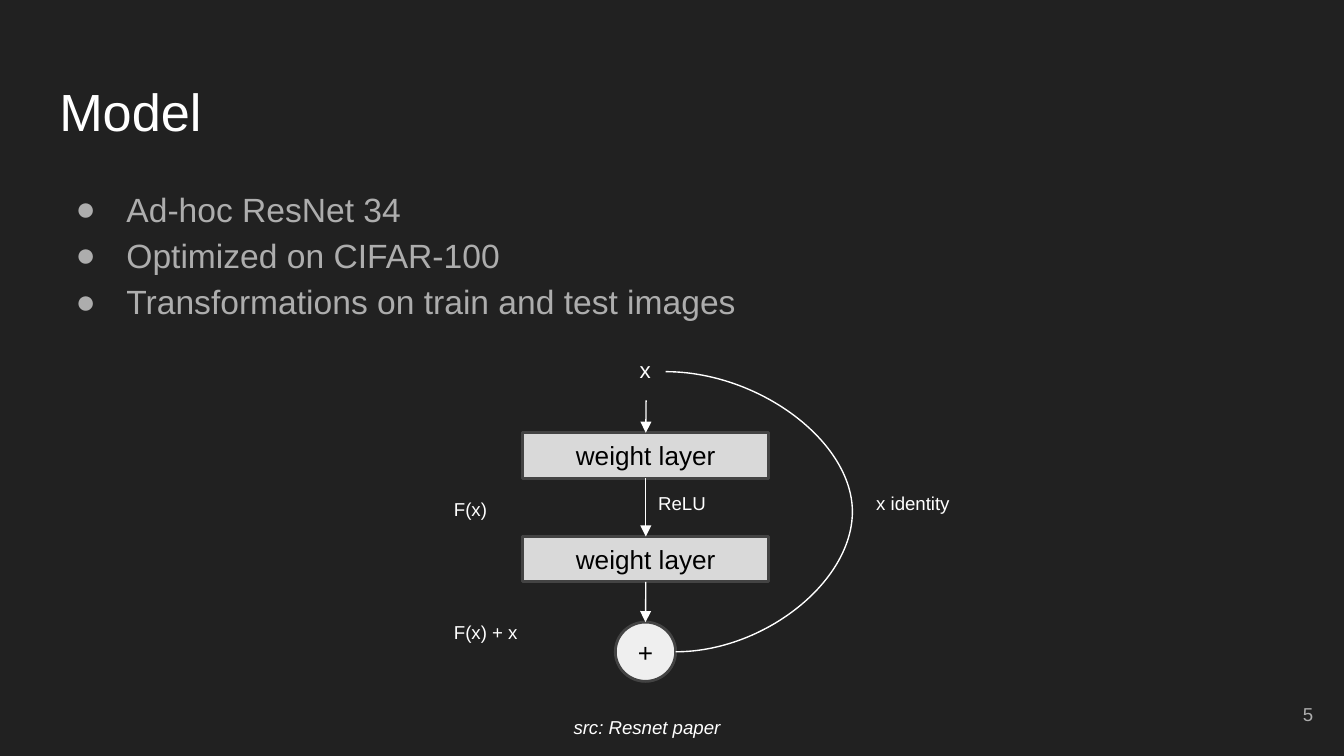
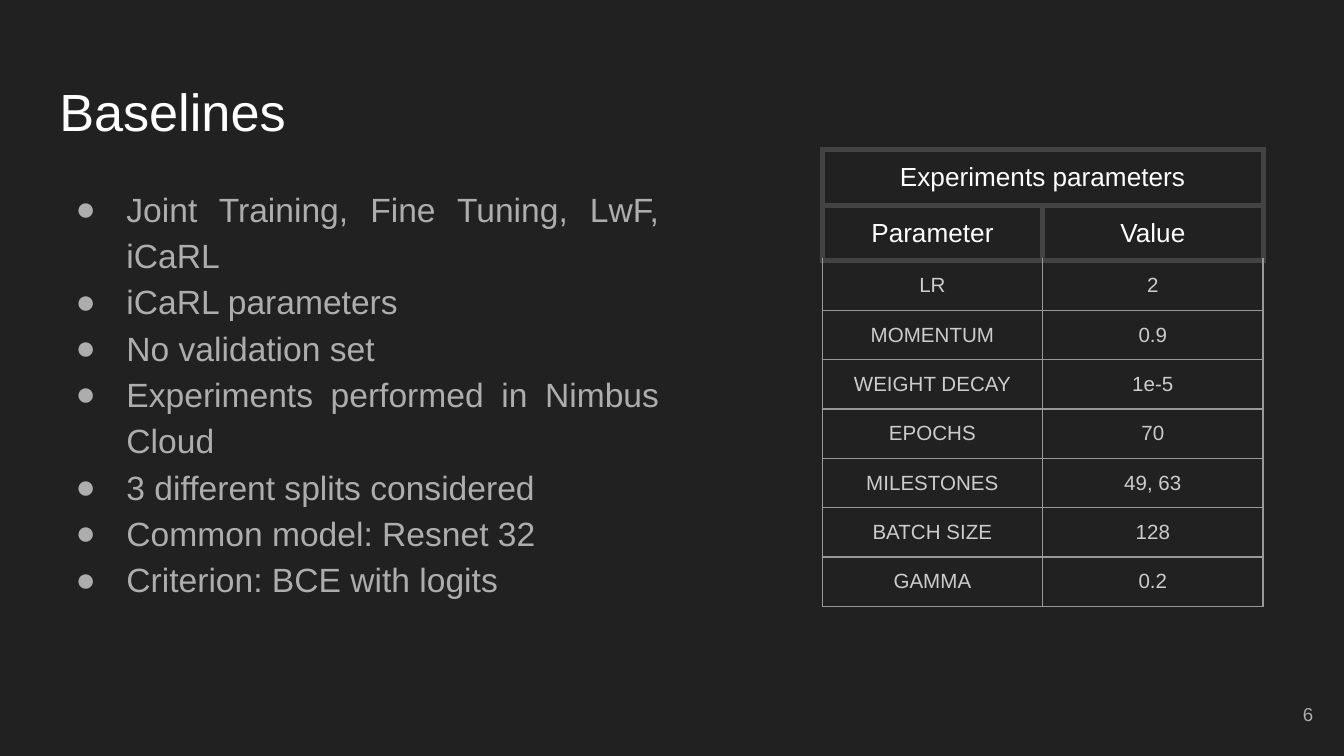
import lxml.etree
import pptx
import pptx.dml.color
import pptx.enum.shapes
import pptx.enum.text
import pptx.oxml.ns
import pptx.util

Cm = pptx.util.Cm
Pt = pptx.util.Pt
RGBColor = pptx.dml.color.RGBColor
ALIGN = pptx.enum.text.PP_ALIGN
ANCHOR = pptx.enum.text.MSO_ANCHOR
SHAPE = pptx.enum.shapes.MSO_SHAPE
CONNECTOR = pptx.enum.shapes.MSO_CONNECTOR
qn = pptx.oxml.ns.qn

FONT = "Arial"
BACKGROUND = RGBColor(0x21, 0x21, 0x21)
WHITE = RGBColor(0xFF, 0xFF, 0xFF)
BLACK = RGBColor(0, 0, 0)
BODY_GREY = RGBColor(0xAD, 0xAD, 0xAD)
CELL_GREY = RGBColor(0xCC, 0xCC, 0xCC)
GRID_GREY = RGBColor(0x99, 0x99, 0x99)
DARK_GREY = RGBColor(0x43, 0x43, 0x43)
LAYER_FILL = RGBColor(0xD9, 0xD9, 0xD9)
SUM_FILL = RGBColor(0xEF, 0xEF, 0xEF)

INSET = Cm(0.25)
NO_TABLE_STYLE = "{2D5ABB26-0587-4C30-8999-92F81FD0307C}"

# Regions: left, top, width, height in cm
TITLE_BOX = (0.87, 1.24, 23.67, 1.6)
BODY_BOX = (0.87, 3.2, 23.16, 9.5)
NARROW_BODY_BOX = (0.87, 3.2, 11.84, 9.5)
NUMBER_BOX = (23.55, 12.95, 1.52, 1.09)
CAPTION_BOX = (10.59, 13.28, 3.71, 0.64)
DIAGRAM_ORIGIN = (8.33, 6.48)
TABLE_BOX = (15.54, 2.82, 8.33, 8.33)

MODEL_POINTS = [
    "Ad-hoc ResNet 34",
    "Optimized on CIFAR-100",
    "Transformations on train and test images",
]
BASELINE_POINTS = [
    "Joint Training, Fine Tuning, LwF, iCaRL",
    "iCaRL parameters",
    "No validation set",
    "Experiments performed in Nimbus Cloud",
    "3 different splits considered",
    "Common model: Resnet 32",
    "Criterion: BCE with logits",
]
PARAMETERS = [
    ("Experiments parameters", ""),
    ("Parameter", "Value"),
    ("LR", "2"),
    ("MOMENTUM", "0.9"),
    ("WEIGHT DECAY", "1e-5"),
    ("EPOCHS", "70"),
    ("MILESTONES", "49, 63"),
    ("BATCH SIZE", "128"),
    ("GAMMA", "0.2"),
]
HEADER_ROWS = 2


# Shared helpers
def add_xml(parent, tag, **attributes):
    element = lxml.etree.SubElement(parent, qn(tag))
    for name, value in attributes.items():
        element.set(name, str(value))
    return element


def place(shape, box):
    shape.left, shape.top, shape.width, shape.height = map(Cm, box)


def style_text(frame, size, color, align=ALIGN.LEFT, italic=False):
    for paragraph in frame.paragraphs:
        paragraph.alignment = align
        for run in paragraph.runs:
            run.font.name = FONT
            run.font.size = Pt(size)
            run.font.color.rgb = color
            run.font.italic = italic


def set_frame(frame, anchor=ANCHOR.TOP):
    frame.word_wrap = True
    frame.auto_size = pptx.enum.text.MSO_AUTO_SIZE.NONE
    frame.vertical_anchor = anchor
    frame.margin_left = frame.margin_right = INSET
    frame.margin_top = frame.margin_bottom = INSET


def add_label(slide, text, box, size=10, color=WHITE, align=ALIGN.LEFT,
              anchor=ANCHOR.TOP, italic=False):
    label = slide.shapes.add_textbox(*map(Cm, box))
    set_frame(label.text_frame, anchor)
    label.text_frame.text = text
    style_text(label.text_frame, size, color, align, italic)
    return label


def add_bullets(body, points, align):
    frame = body.text_frame
    set_frame(frame)
    frame.text = "\n".join(points)
    style_text(frame, 18, BODY_GREY, align)
    for paragraph in frame.paragraphs:
        paragraph.line_spacing = 1.15
        paragraph.space_before = paragraph.space_after = Pt(0)
        properties = paragraph._p.get_or_add_pPr()
        properties.set("marL", str(Cm(1.27)))
        properties.set("indent", str(-Cm(0.96)))
        add_xml(add_xml(properties, "a:buClr"), "a:srgbClr", val=BODY_GREY)
        add_xml(properties, "a:buFont", typeface=FONT)
        add_xml(properties, "a:buChar", char="●")


def add_content_slide(presentation, title, number, points, body_box, align):
    slide = presentation.slides.add_slide(presentation.slide_layouts[1])
    heading, body = slide.shapes.title, slide.placeholders[1]
    place(heading, TITLE_BOX)
    set_frame(heading.text_frame)
    heading.text_frame.text = title
    style_text(heading.text_frame, 28, WHITE)
    place(body, body_box)
    add_bullets(body, points, align)
    add_label(slide, str(number), NUMBER_BOX, color=BODY_GREY,
              align=ALIGN.RIGHT, anchor=ANCHOR.MIDDLE)
    return slide


# Residual block diagram
def add_node(slide, kind, text, box, fill):
    node = slide.shapes.add_shape(kind, *map(Cm, box))
    node.shadow.inherit = False
    node.fill.solid()
    node.fill.fore_color.rgb = fill
    node.line.color.rgb = DARK_GREY
    node.line.width = Pt(1.5)
    set_frame(node.text_frame, ANCHOR.MIDDLE)
    node.text_frame.text = text
    style_text(node.text_frame, 14, BLACK, ALIGN.CENTER)
    return node


def join(slide, kind, start, start_site, end, end_site):
    connector = slide.shapes.add_connector(kind, 0, 0, 0, 0)
    connector.begin_connect(start, start_site)
    connector.end_connect(end, end_site)
    connector.line.color.rgb = WHITE
    connector.line.width = Pt(0.75)
    add_xml(connector._element.spPr, "a:effectLst")
    return connector


def add_arrow(slide, start, end):
    arrow = join(slide, CONNECTOR.STRAIGHT, start, 2, end, 0)
    add_xml(arrow.line._get_or_add_ln(), "a:tailEnd", type="triangle")
    return arrow


def add_skip_curve(slide, start, end, reach):
    curve = join(slide, CONNECTOR.CURVE, start, 3, end, 3)
    guides = curve._element.spPr.find(qn("a:prstGeom")).find(qn("a:avLst"))
    bend = round(reach / curve.width * 100000)
    add_xml(guides, "a:gd", name="adj1", fmla=f"val {bend}")
    return curve


def add_residual_block(slide, origin):
    def box(left, top, width, height):
        return (origin[0] + left, origin[1] + top, width, height)

    source = add_label(slide, "x", box(3.51, 0, 0.74, 1.09), size=12)
    layers = [
        add_node(slide, SHAPE.RECTANGLE, "weight layer",
                 box(1.55, 1.7 + 1.96 * index, 4.65, 0.86), LAYER_FILL)
        for index in range(2)
    ]
    total = add_node(slide, SHAPE.OVAL, "+", box(3.3, 5.28, 1.14, 1.12), SUM_FILL)

    chain = [source, *layers, total]
    for start, end in zip(chain, chain[1:]):
        add_arrow(slide, start, end)
    curve = add_skip_curve(slide, source, total, Cm(3.53))
    # The right-hand site of an ellipse has index 6
    next(curve._element.iter(qn("a:endCxn"))).set("idx", "6")

    labels = [("x identity", 7.98, 2.56), ("ReLU", 3.86, 2.56),
              ("F(x)", 0, 2.69), ("F(x) + x", 0, 5)]
    for text, left, top in labels:
        add_label(slide, text, box(left, top, 3.12, 1.63))


# Parameter table
def set_borders(cell, row_index):
    properties = cell._tc.get_or_add_tcPr()
    for side in "LRTB":
        heavy = row_index < HEADER_ROWS or (row_index == HEADER_ROWS and side == "T")
        width, color = (3, DARK_GREY) if heavy else (0.75, GRID_GREY)
        line = add_xml(properties, f"a:ln{side}", w=Pt(width))
        add_xml(add_xml(line, "a:solidFill"), "a:srgbClr", val=color)


def add_parameter_table(slide, box):
    frame = slide.shapes.add_table(len(PARAMETERS), 2, *map(Cm, box))
    table = frame.table
    table.first_row = table.horz_banding = False
    table._tbl.tblPr.find(qn("a:tableStyleId")).text = NO_TABLE_STYLE
    table.cell(0, 0).merge(table.cell(0, 1))
    heights = [1.0] * HEADER_ROWS + [0.9] * 6 + [0.66]
    for row, height in zip(table.rows, heights):
        row.height = Cm(height)
    for row_index, values in enumerate(PARAMETERS):
        size, color = (14, WHITE) if row_index < HEADER_ROWS else (11, CELL_GREY)
        for column_index, value in enumerate(values):
            cell = table.cell(row_index, column_index)
            if cell.is_spanned:
                continue
            cell.margin_left = cell.margin_right = INSET
            cell.margin_top = cell.margin_bottom = INSET
            cell.text_frame.text = value
            style_text(cell.text_frame, size, color, ALIGN.CENTER)
            set_borders(cell, row_index)
            cell.fill.background()


# Slides
def build_model_slide(presentation):
    slide = add_content_slide(presentation, "Model", 5, MODEL_POINTS,
                              BODY_BOX, ALIGN.LEFT)
    add_residual_block(slide, DIAGRAM_ORIGIN)
    add_label(slide, "src: Resnet paper", CAPTION_BOX, italic=True)


def build_baselines_slide(presentation):
    slide = add_content_slide(presentation, "Baselines", 6, BASELINE_POINTS,
                              NARROW_BODY_BOX, ALIGN.JUSTIFY)
    add_parameter_table(slide, TABLE_BOX)


def main():
    presentation = pptx.Presentation()
    presentation.slide_width = Cm(25.4)
    presentation.slide_height = Cm(14.29)
    background = presentation.slide_master.background.fill
    background.solid()
    background.fore_color.rgb = BACKGROUND
    build_model_slide(presentation)
    build_baselines_slide(presentation)
    presentation.save("out.pptx")


if __name__ == "__main__":
    main()
